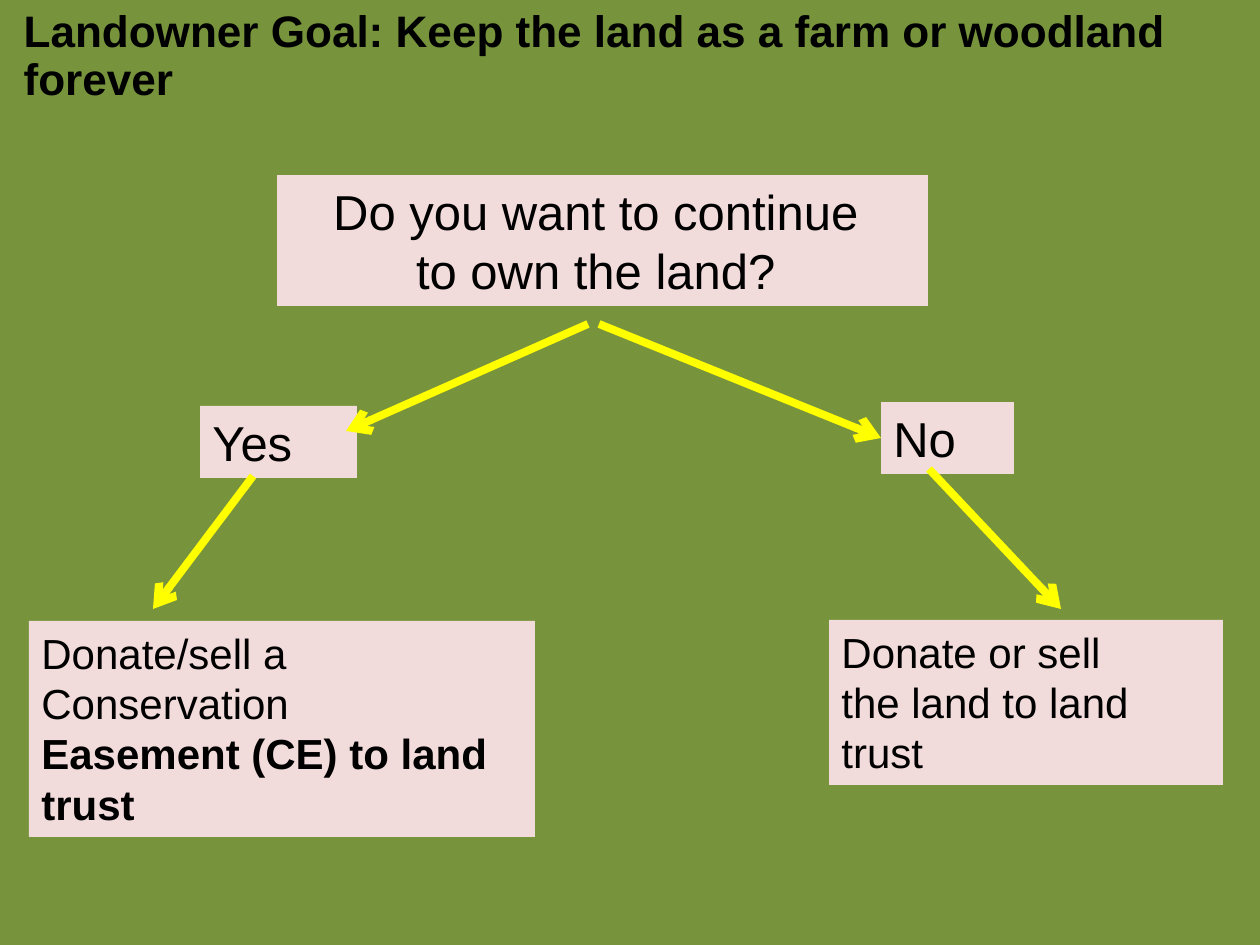
from pptx import Presentation
from pptx.dml.color import RGBColor
from pptx.enum.shapes import MSO_CONNECTOR as Conn
from pptx.enum.text import MSO_ANCHOR as Anchor, MSO_AUTO_SIZE as Fit, PP_ALIGN as Align
from pptx.oxml.ns import qn
from pptx.util import Pt
from lxml.etree import SubElement

SCALE = 914400 / 126  # EMU in one px


def px(*nums):
    return [round(n * SCALE) for n in nums]


def color(code):
    return RGBColor.from_string(code)


deck = Presentation()
deck.slide_width, deck.slide_height = px(1260, 945)
slide = deck.slides.add_slide(deck.slide_layouts[5])
slide.background.fill.solid()
slide.background.fill.fore_color.rgb = color("77933C")

# Title
title = slide.shapes.title
title.left, title.top, title.width, title.height = px(11, 15, 1226, 84)
frame = title.text_frame
frame.text = "Landowner Goal: Keep the land as a farm or woodland forever"
frame.auto_size = Fit.NONE
frame.vertical_anchor = Anchor.MIDDLE
head = frame.paragraphs[0]
head.alignment = Align.LEFT
head.line_spacing = 0.9
font = head.runs[0].font
font.name, font.size, font.bold = "Arial", Pt(25.2), True
font.color.rgb = color("000000")

# Question, answers and outcomes: name, place, size, align, text
boxes = [
    ("ask", (277, 175, 651, 131), 28, Align.CENTER, "Do you want to continue \nto own the land? "),
    ("no", (881, 402, 133, 72), 28, Align.LEFT, "No"),
    ("yes", (200, 406, 157, 72), 28, Align.LEFT, "Yes"),
    ("keep", (29, 621, 506, 216), 24, Align.LEFT,
     "Donate/sell a Conservation\nEasement (CE) to land trust"),
    ("give", (829, 620, 394, 165), 24, Align.LEFT, "Donate or sell \vthe land to land trust"),
]
nodes = {}
for name, place, size, align, text in boxes:
    box = nodes[name] = slide.shapes.add_textbox(*px(*place))
    box.fill.solid()
    box.fill.fore_color.rgb = color("F2DCDB")
    frame = box.text_frame
    frame.word_wrap = True
    frame.auto_size = Fit.SHAPE_TO_FIT_TEXT
    frame.text = text
    for para in frame.paragraphs:
        para.alignment = align
        for run in para.runs:
            run.font.name, run.font.size = "Arial", Pt(size)
            run.font.color.rgb = color("000000")
nodes["keep"].text_frame.paragraphs[1].runs[0].font.bold = True

# Arrows: start, end, and the box joined at its left side
arrows = [
    ((588, 324), (346, 431), None),
    ((599, 324), (881, 438), "no"),
    ((253, 476), (153, 609), None),
    ((929, 469), (1061, 609), None),
]
for start, end, goal in arrows:
    arrow = slide.shapes.add_connector(Conn.STRAIGHT, *px(*start, *end))
    if goal:
        arrow.end_connect(nodes[goal], 1)
    arrow.line.color.rgb = color("FFFF00")
    arrow.line.width = Pt(4.5)
    SubElement(arrow.line._get_or_add_ln(), qn("a:tailEnd"), type="arrow")
    SubElement(arrow._element.spPr, qn("a:effectLst"))

deck.save("out.pptx")
